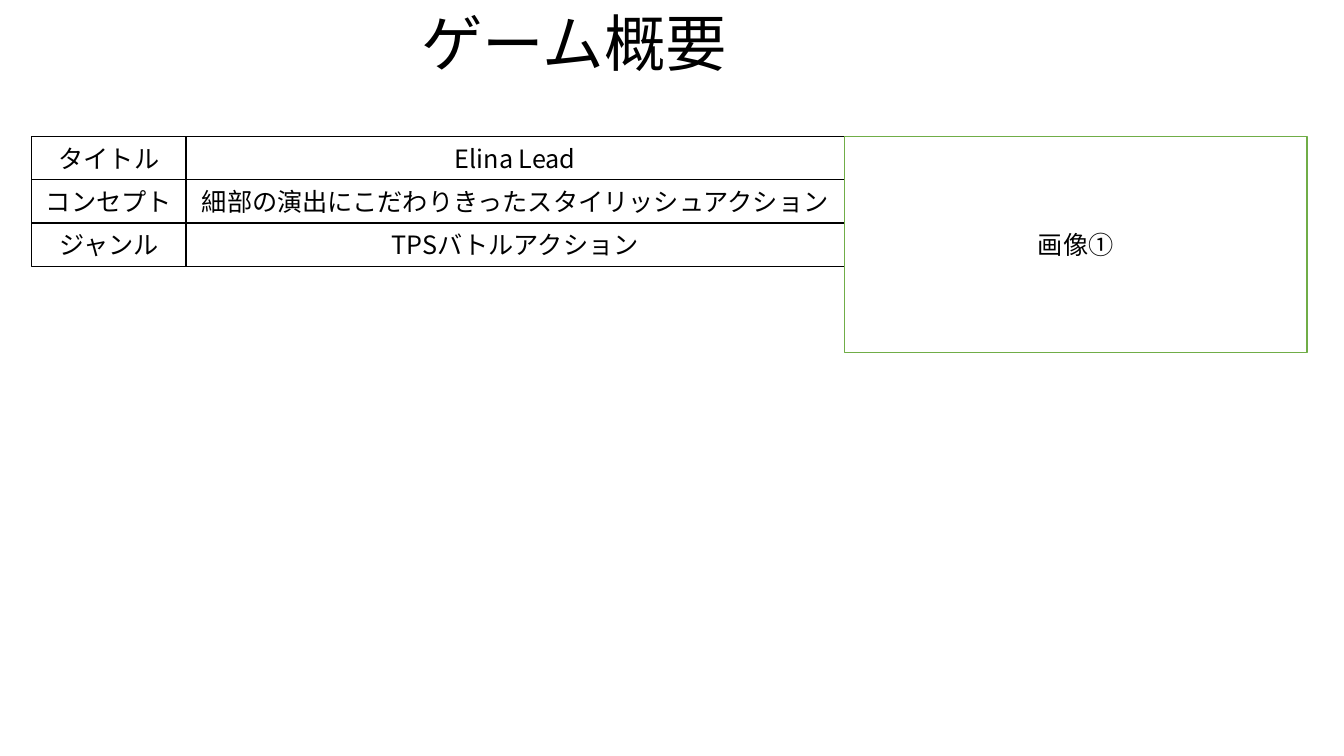
from lxml.etree import SubElement
from pptx import Presentation
from pptx.dml.color import RGBColor
from pptx.enum.shapes import MSO_SHAPE
from pptx.enum.text import MSO_ANCHOR, PP_ALIGN
from pptx.oxml.ns import qn
from pptx.util import Cm, Pt

COLORS = {"text": "000000", "paper": "FFFFFF", "grid": "000000", "frame": "70AD47"}
FONT = "Noto Sans CJK JP"
ROWS = [
    ("タイトル", "Elina Lead"),
    ("コンセプト", "細部の演出にこだわりきったスタイリッシュアクション"),
    ("ジャンル", "TPSバトルアクション"),
]


def color(name):
    return RGBColor.from_string(COLORS[name])


def write(text_frame, text, size, alignment):
    paragraph = text_frame.paragraphs[0]
    paragraph.text = text
    paragraph.alignment = alignment
    paragraph.font.size = Pt(size)
    paragraph.font.color.rgb = color("text")
    paragraph.font.name = FONT
    properties = paragraph._p.pPr.find(qn("a:defRPr"))
    SubElement(properties, qn("a:ea"), typeface=FONT)


def add_title(slide, left, top, width, height):
    text_frame = slide.shapes.add_textbox(left, top, width, height).text_frame
    text_frame.word_wrap = True
    write(text_frame, "ゲーム概要", 44, PP_ALIGN.LEFT)


def add_box(slide, text, line_color, left, top, width, height):
    shape = slide.shapes.add_shape(MSO_SHAPE.RECTANGLE, left, top, width, height)
    shape.shadow.inherit = False
    shape.fill.solid()
    shape.fill.fore_color.rgb = color("paper")
    shape.line.color.rgb = color(line_color)
    shape.line.width = Pt(1)
    shape.text_frame.vertical_anchor = MSO_ANCHOR.MIDDLE
    write(shape.text_frame, text, 18, PP_ALIGN.CENTER)


def add_overview(slide, left, top, width, row_height, label_width):
    for index, (label, value) in enumerate(ROWS):
        row_top = top + index * row_height
        add_box(slide, label, "grid", left, row_top, label_width, row_height)
        add_box(slide, value, "grid", left + label_width, row_top,
                width - label_width, row_height)


presentation = Presentation()
presentation.slide_width = Cm(33.87)
presentation.slide_height = Cm(19.05)
slide = presentation.slides.add_slide(presentation.slide_layouts[6])

left, top, overview_width, row_height = Cm(0.8), Cm(3.44), Cm(20.48), Cm(1.09)
add_title(slide, Cm(10.37), Cm(0.01), Cm(9.6), Cm(2.13))
add_overview(slide, left, top, overview_width, row_height, Cm(3.89))
add_box(slide, "画像①", "frame", left + overview_width, top, Cm(11.66), 5 * row_height)

presentation.save("out.pptx")
